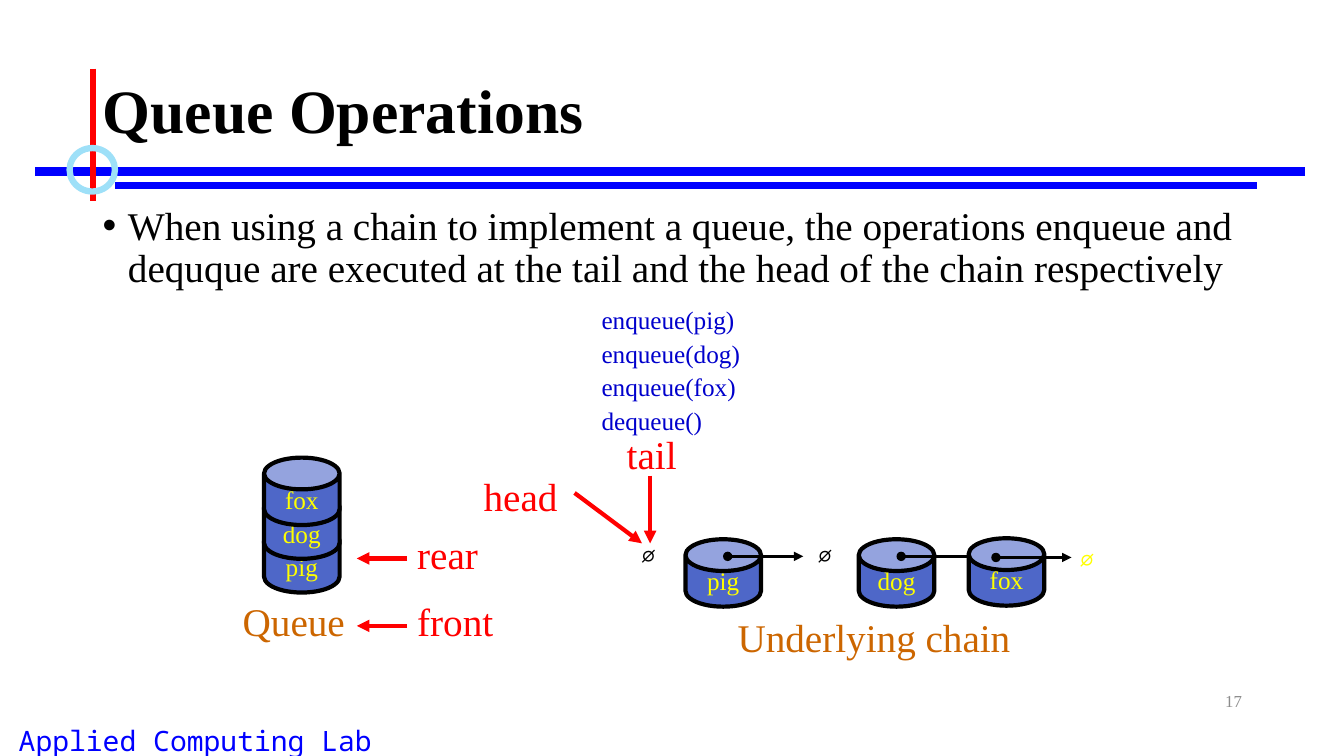
from lxml.etree import SubElement
from pptx import Presentation
from pptx.dml.color import RGBColor
from pptx.enum.shapes import MSO_CONNECTOR, MSO_SHAPE
from pptx.enum.text import MSO_ANCHOR, MSO_AUTO_SIZE, PP_ALIGN
from pptx.oxml.ns import qn
from pptx.util import Pt

BLACK = RGBColor(0, 0, 0)
RED = RGBColor(0xFF, 0, 0)
BLUE = RGBColor(0, 0, 0xFF)
CALL_BLUE = RGBColor(0, 0, 0xCC)
RING_BLUE = RGBColor(0x9E, 0xE0, 0xF8)
CAN_BLUE = RGBColor(0x4E, 0x67, 0xC8)
ORANGE = RGBColor(0xCC, 0x66, 0)
YELLOW = RGBColor(0xFF, 0xFF, 0)
GRAY = RGBColor(0x8C, 0x8C, 0x8C)

SERIF = "Times New Roman"
MONO = "Noto Sans Mono"
SYMBOL = "Karla"

TITLE = "Queue Operations"
BODY = ("When using a chain to implement a queue, the operations enqueue and "
        "dequque are executed at the tail and the head of the chain respectively")
LAB = "Applied Computing Lab"
PAGE = "17"

RULES = [
    ((25.2, 122.4), (932.4, 122.4), BLUE, 6),
    ((82.1, 132.5), (897.8, 132.5), BLUE, 4.5),
    ((66.2, 49), (66.2, 143.3), RED, 4.5),
]
CALLS = [("enqueue(pig)", 110), ("enqueue(dog)", 114.5), ("enqueue(fox)", 111.6), ("dequeue()", 87.1)]
CALLS_LEFT, CALLS_TOP, CALL_STEP, CALL_HEIGHT = 422.6, 213.8, 24, 28.8

LABEL_HEIGHT = 41
CAPTIONS = [("Queue", 166.3, 423.4, 88.6), ("Underlying chain", 519.8, 434.2, 213.1)]
POINTERS = [
    ("head", 338.4, 334.1, 67, (410.4, 352.1), (458.6, 388.1)),
    ("tail", 440.6, 303.8, 50.4, (464.4, 339.8), (464.4, 388.1)),
    ("rear", 290.9, 375.1, 58.3, (290.9, 398.9), (254.9, 398.9)),
    ("front", 290.9, 423.4, 69.1, (290.9, 447.1), (254.9, 447.1)),
]

CAN_WIDTH, CAN_HEIGHT = 54, 48.2
QUEUE = ["pig", "dog", "fox"]
QUEUE_LEFT, QUEUE_BOTTOM_TOP, QUEUE_STEP = 188.6, 375.1, 24.1
CHAIN = [
    ("pig", 489.6, 385.2, 519.8, 397.4),
    ("dog", 613.4, 385.2, 643.7, 397.4),
    ("fox", 691.9, 384.5, 711.4, 398.2),
]
LINK_LENGTH = 54
NULL_SIZE = 31
NULLS = [(447.8, 379.4, BLACK), (573.8, 379.4, BLACK), (761, 382.3, YELLOW)]


def style(paragraph, size, color, font=SERIF, align=None):
    paragraph.font.name = font
    paragraph.font.size = Pt(size)
    paragraph.font.color.rgb = color
    paragraph.alignment = align


def place(shape, left, top, width, height):
    shape.left, shape.top, shape.width, shape.height = Pt(left), Pt(top), Pt(width), Pt(height)


def add_text(slide, text, left, top, width, height, size, color,
             font=SERIF, align=None, anchor=MSO_ANCHOR.TOP, wrap=False):
    box = slide.shapes.add_textbox(Pt(left), Pt(top), Pt(width), Pt(height))
    frame = box.text_frame
    frame.word_wrap = wrap
    frame.vertical_anchor = anchor
    frame.text = text
    style(frame.paragraphs[0], size, color, font, align)


def add_line(slide, start, end, color, width, head=None, tail=None):
    line = slide.shapes.add_connector(MSO_CONNECTOR.STRAIGHT, *map(Pt, start + end))
    line.line.color.rgb = color
    line.line.width = Pt(width)
    properties = line.line._get_or_add_ln()
    for tag, kind in (("a:headEnd", head), ("a:tailEnd", tail)):
        if kind:
            SubElement(properties, qn(tag), type=kind)
    SubElement(line._element.spPr, qn("a:effectLst"))


def add_can(slide, name, left, top):
    can = slide.shapes.add_shape(MSO_SHAPE.CAN, Pt(left), Pt(top), Pt(CAN_WIDTH), Pt(CAN_HEIGHT))
    can.adjustments[0] = 0.471
    can.shadow.inherit = False
    can.fill.solid()
    can.fill.fore_color.rgb = CAN_BLUE
    can.line.color.rgb = BLACK
    can.line.width = Pt(3)
    frame = can.text_frame
    frame.word_wrap = False
    frame.vertical_anchor = MSO_ANCHOR.MIDDLE
    frame.text = name
    style(frame.paragraphs[0], 18, YELLOW, align=PP_ALIGN.CENTER)


def add_frame(slide):
    add_text(slide, LAB, -41.8, 513.4, 362.9, 31, 20, BLUE, MONO, PP_ALIGN.CENTER, wrap=True)
    for start, end, color, width in RULES:
        add_line(slide, start, end, color, width)
    ring = slide.shapes.add_shape(MSO_SHAPE.OVAL, Pt(49.7), Pt(105.8), Pt(32.4), Pt(31))
    ring.shadow.inherit = False
    ring.fill.background()
    ring.line.color.rgb = RING_BLUE
    ring.line.width = Pt(4.5)
    add_text(slide, PAGE, 678.2, 486, 216, 28.8, 12, GRAY,
             align=PP_ALIGN.RIGHT, anchor=MSO_ANCHOR.MIDDLE, wrap=True)


def fill_placeholders(slide):
    title, body = slide.shapes.title, slide.placeholders[1]
    place(title, 66.2, 28.8, 828, 104.4)
    place(body, 66.2, 144, 828, 342.7)
    for shape, text, size, anchor in ((title, TITLE, 44, MSO_ANCHOR.MIDDLE),
                                      (body, BODY, 28, MSO_ANCHOR.TOP)):
        frame = shape.text_frame
        frame.text = text
        frame.auto_size = MSO_AUTO_SIZE.NONE
        frame.vertical_anchor = anchor
        paragraph = frame.paragraphs[0]
        style(paragraph, size, BLACK, align=PP_ALIGN.LEFT)
        paragraph.line_spacing = 0.9
    title.text_frame.paragraphs[0].font.bold = True
    bullet = body.text_frame.paragraphs[0]
    bullet.space_before = Pt(10)
    properties = bullet._p.get_or_add_pPr()
    properties.set("marL", str(Pt(18)))
    properties.set("indent", str(-Pt(18)))


def add_queue(slide):
    for level, name in enumerate(QUEUE):
        add_can(slide, name, QUEUE_LEFT, QUEUE_BOTTOM_TOP - level * QUEUE_STEP)


def add_chain(slide):
    for name, left, top, link_left, link_top in CHAIN:
        add_can(slide, name, left, top)
        add_line(slide, (link_left, link_top), (link_left + LINK_LENGTH, link_top),
                 BLACK, 2.25, "oval", "triangle")
    for left, top, color in NULLS:
        add_text(slide, "∅", left, top, NULL_SIZE, NULL_SIZE, 20, color, SYMBOL,
                 PP_ALIGN.CENTER, MSO_ANCHOR.MIDDLE)


def add_labels(slide):
    for row, (call, width) in enumerate(CALLS):
        add_text(slide, call, CALLS_LEFT, CALLS_TOP + row * CALL_STEP,
                 width, CALL_HEIGHT, 18, CALL_BLUE)
    for text, left, top, width in CAPTIONS:
        add_text(slide, text, left, top, width, LABEL_HEIGHT, 28, ORANGE)
    for text, left, top, width, start, end in POINTERS:
        add_text(slide, text, left, top, width, LABEL_HEIGHT, 28, RED)
        add_line(slide, start, end, RED, 3, tail="triangle")


def main():
    presentation = Presentation()
    presentation.slide_width, presentation.slide_height = Pt(960), Pt(540)
    slide = presentation.slides.add_slide(presentation.slide_layouts[1])
    fill_placeholders(slide)
    add_frame(slide)
    add_queue(slide)
    add_chain(slide)
    add_labels(slide)
    presentation.save("out.pptx")


if __name__ == "__main__":
    main()
